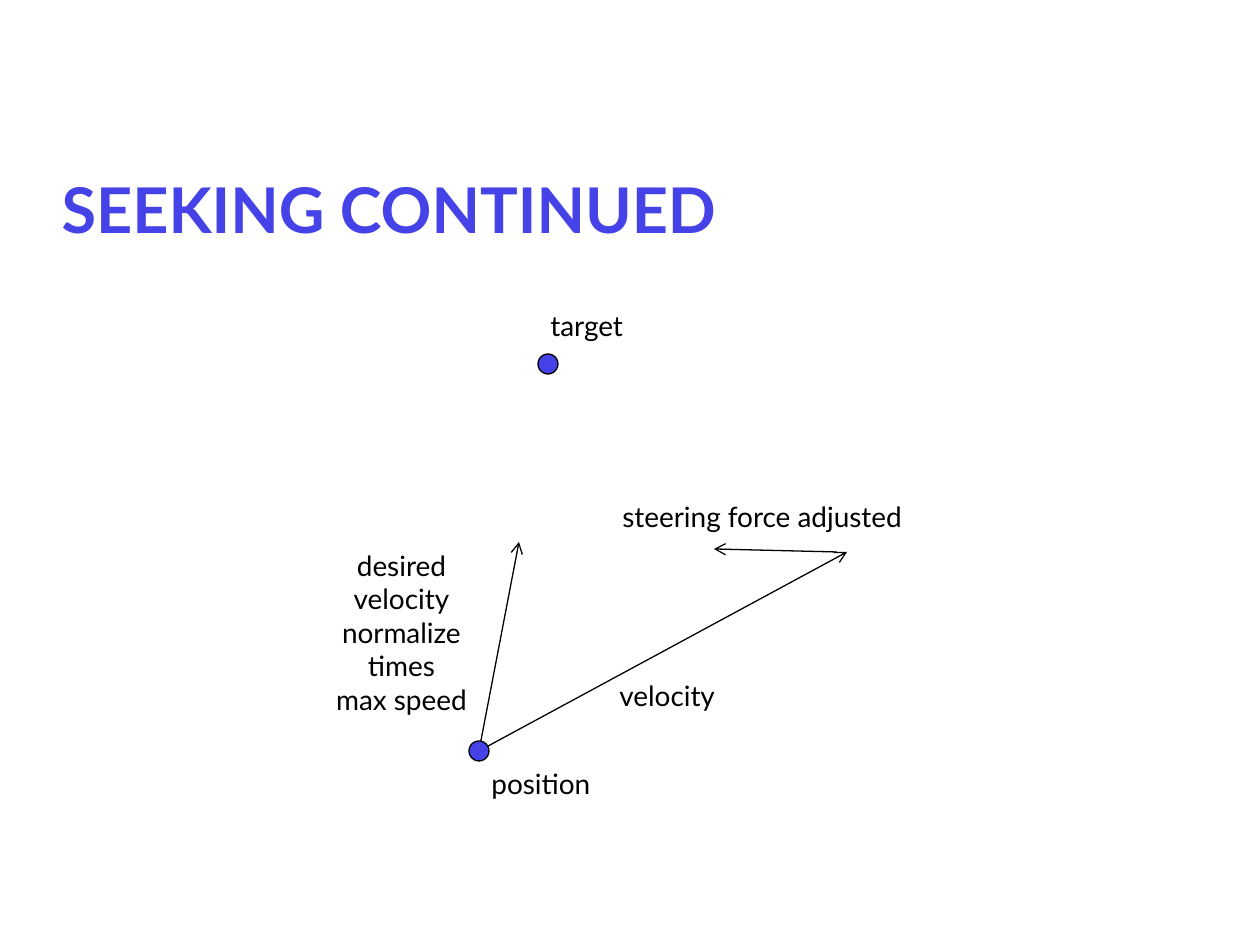
from pptx import Presentation
from pptx.dml.color import RGBColor
from pptx.enum.shapes import MSO_CONNECTOR, MSO_SHAPE
from pptx.enum.text import MSO_ANCHOR, MSO_AUTO_SIZE, PP_ALIGN
from pptx.oxml.ns import qn
from pptx.util import Emu, Pt
from lxml.etree import SubElement

SCALE = 914400 // 126
FONT, BLUE, BLACK = "Lato", "4543E8", "000000"
TITLE = ("SEEKING CONTINUED", (49, 130, 1134, 157))
POSITION, TARGET, DOT_SIZE = (479, 751), (548, 364), 20
ARROWS = [
    (POSITION, (847, 552)),
    (POSITION, (519, 542)),
    ((837, 552), (714, 549)),
]
LABELS = [
    (["velocity"], (607, 672, 127, 47), PP_ALIGN.LEFT),
    (["position"], (479, 760, 132, 47), PP_ALIGN.LEFT),
    (["target"], (538, 302, 111, 47), PP_ALIGN.LEFT),
    (["desired", "velocity", "normalize", "times", "max speed"],
     (319, 542, 165, 183), PP_ALIGN.CENTER),
    (["steering force adjusted"], (610, 493, 341, 47), PP_ALIGN.LEFT),
]


def px(*values):
    """Turn pixels into EMU lengths."""
    return [Emu(value * SCALE) for value in values]


def color(value):
    """Turn a hex string into a colour."""
    return RGBColor.from_string(value)


def write(frame, lines, size, ink=BLACK, bold=False, align=PP_ALIGN.LEFT,
          anchor=MSO_ANCHOR.TOP, wrap=False, fit=MSO_AUTO_SIZE.NONE):
    """Fill a text frame with formatted paragraphs."""
    frame.word_wrap, frame.auto_size, frame.vertical_anchor = wrap, fit, anchor
    for index, line in enumerate(lines):
        paragraph = frame.add_paragraph() if index else frame.paragraphs[0]
        paragraph.alignment = align
        run = paragraph.add_run()
        run.text = line
        run.font.name, run.font.size, run.font.bold = FONT, Pt(size), bold
        run.font.color.rgb = color(ink)


def outline(shape):
    """Give a shape or connector a thin black line."""
    shape.line.color.rgb = color(BLACK)
    shape.line.width = Pt(0.75)


def add_arrow(slide, start, end):
    """Draw a line with an open arrowhead at its end."""
    arrow = slide.shapes.add_connector(MSO_CONNECTOR.STRAIGHT, *px(*start, *end))
    outline(arrow)
    SubElement(arrow.line._get_or_add_ln(), qn("a:tailEnd"), type="arrow")
    SubElement(arrow._element.spPr, qn("a:effectLst"))


def add_dot(slide, center):
    """Draw a blue dot around a point."""
    left, top = (value - DOT_SIZE // 2 for value in center)
    dot = slide.shapes.add_shape(MSO_SHAPE.OVAL, *px(left, top, DOT_SIZE, DOT_SIZE))
    dot.shadow.inherit = False
    dot.fill.solid()
    dot.fill.fore_color.rgb = color(BLUE)
    outline(dot)


presentation = Presentation()
presentation.slide_width, presentation.slide_height = px(1260, 945)
slide = presentation.slides.add_slide(presentation.slide_layouts[5])

heading, box = TITLE
title = slide.shapes.title
title.left, title.top, title.width, title.height = px(*box)
write(title.text_frame, [heading], 36, ink=BLUE, bold=True,
      anchor=MSO_ANCHOR.MIDDLE, wrap=True)

for start, end in ARROWS:
    add_arrow(slide, start, end)
for center in (POSITION, TARGET):
    add_dot(slide, center)
for lines, box, align in LABELS:
    label = slide.shapes.add_textbox(*px(*box))
    write(label.text_frame, lines, 16, align=align,
          fit=MSO_AUTO_SIZE.SHAPE_TO_FIT_TEXT)

presentation.save("out.pptx")
